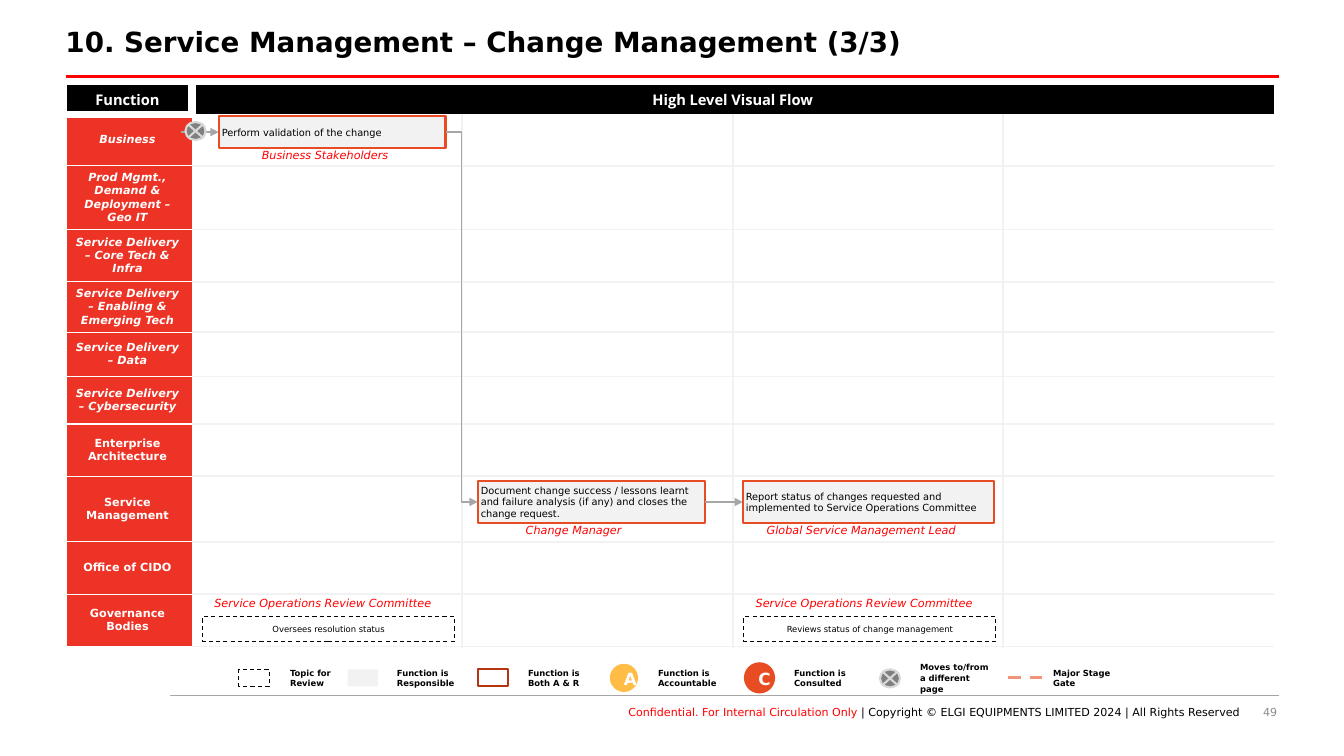
import pptx
import pptx.dml.color
import pptx.enum.dml
import pptx.enum.shapes
import pptx.enum.text
import pptx.oxml.ns
import pptx.util
import lxml.etree

Pt = pptx.util.Pt
SHAPE = pptx.enum.shapes.MSO_SHAPE
CONNECTOR = pptx.enum.shapes.MSO_CONNECTOR
ALIGN = pptx.enum.text.PP_ALIGN
MIDDLE = pptx.enum.text.MSO_ANCHOR.MIDDLE
DASH = pptx.enum.dml.MSO_LINE.DASH
qn = pptx.oxml.ns.qn

COLORS = {
    "black": "000000", "white": "FFFFFF", "red": "FF0000", "lane": "ED3326",
    "grid": "F2F2F2", "orange": "E84C22", "rust": "B53513", "amber": "FFBD47",
    "stage": "F1947A", "gray": "808080", "silver": "D9D9D9", "rule": "A6A6A6",
    "number": "8C8C8C",
}
FONT = "DejaVu Sans"
CAPTION = {"size": Pt(8), "italic": True}
STEP = {"size": Pt(7)}
SMALL = {"size": Pt(6)}
LABEL = {"size": Pt(6), "bold": True}
LETTER = {"size": Pt(12), "bold": True}
FOOTER = {"size": Pt(7.9)}
LANES = [
    ("Business", 36.72), ("Prod Mgmt., Demand & Deployment – Geo IT", 44.64),
    ("Service Delivery – Core Tech & Infra", 37.44),
    ("Service Delivery – Enabling & Emerging Tech", 35.2),
    ("Service Delivery – Data", 31.68), ("Service Delivery – Cybersecurity", 33.84),
    ("Enterprise Architecture", 37.44), ("Service Management", 46.8),
    ("Office of CIDO", 37.44), ("Governance Bodies", 37.44),
]
ITALIC_LANES = 6


def color(name):
    return pptx.dml.color.RGBColor.from_string(COLORS[name])


def apply(target, values):
    for name, value in values.items():
        setattr(target, name, value)


def paint(shape, fill, line, width=1.5, dash=None):
    shape.shadow.inherit = False
    for format_part, name in ((shape.fill, fill), (shape.line.fill, line)):
        if name:
            format_part.solid()
            format_part.fore_color.rgb = color(name)
        else:
            format_part.background()
    if line:
        apply(shape.line, {"width": Pt(width), "dash_style": dash})


def write(frame, paragraphs, font, align=ALIGN.LEFT, spacing=None, margins=(0, 0, 0, 0), anchor=None, wrap=True):
    sides = ("margin_left", "margin_top", "margin_right", "margin_bottom")
    apply(frame, dict(zip(sides, map(Pt, margins))))
    apply(frame, {"word_wrap": wrap, "vertical_anchor": anchor})
    for index, runs in enumerate(paragraphs):
        paragraph = frame.add_paragraph() if index else frame.paragraphs[0]
        apply(paragraph, {"alignment": align, "line_spacing": spacing})
        for text, name in runs:
            run = paragraph.add_run()
            run.text = text
            apply(run.font, {"name": FONT, **font})
            run.font.color.rgb = color(name)


def add_text(shapes, box, paragraphs, font, **layout):
    shape = shapes.add_textbox(*map(Pt, box))
    write(shape.text_frame, paragraphs, font, **layout)
    return shape


def add_line(shapes, points, name, width, arrow=False, kind=CONNECTOR.STRAIGHT, dash=None):
    line = shapes.add_connector(kind, *map(Pt, points))
    line.line.color.rgb = color(name)
    apply(line.line, {"width": Pt(width), "dash_style": dash})
    properties = line._element.spPr
    if arrow:
        lxml.etree.SubElement(properties.find(qn("a:ln")), qn("a:tailEnd"), type="triangle")
    lxml.etree.SubElement(properties, qn("a:effectLst"))
    return line


def join(shapes, source, target, kind=CONNECTOR.STRAIGHT):
    arrow = add_line(shapes, (0, 0, 0, 0), "rule", 1, arrow=True, kind=kind)
    arrow.begin_connect(source, 3)
    arrow.end_connect(target, 1)


def add_junction(shapes, left, middle):
    shape = shapes.add_shape(SHAPE.FLOWCHART_SUMMING_JUNCTION, Pt(left), Pt(middle - 6.48), Pt(14.4), Pt(12.96))
    paint(shape, "gray", "silver")


def add_header(slide, box):
    left, top, width, height = box
    add_text(slide.shapes, (left, top, width, 29.52),
             [[("10. Service Management – Change Management (3/3)", "black")]],
             {"size": Pt(19.8), "bold": True}, spacing=0.9, margins=(0, 3.6, 7.2, 3.6))
    add_line(slide.shapes, (left, top + height, left + width, top + height), "red", 2.25)


def add_footer(slide, box):
    left, top, width, height = box
    right = left + width
    add_line(slide.shapes, (left, top, right, top), "rule", 0.5)
    add_text(slide.shapes, (right - 217.44, top + 7.2, 216, height), [[("49", "number")]], FOOTER, align=ALIGN.RIGHT)
    copyright_runs = [("Conﬁdential. For Internal Circulation Only ", "red"),
                      ("| Copyright © ELGI EQUIPMENTS LIMITED 2024 | All Rights Reserved", "black")]
    add_text(slide.shapes, (left + 55.44, top + 7.2, 708.48, height), [copyright_runs], FOOTER, align=ALIGN.RIGHT)


def format_cell(cell, fill, borders):
    properties = cell._tc.get_or_add_tcPr()
    for side in "LRTB":
        name, width = borders.get(side, (None, 0))
        line = lxml.etree.SubElement(properties, qn("a:ln" + side), w=str(int(Pt(width))))
        if name:
            solid = lxml.etree.SubElement(line, qn("a:solidFill"))
            lxml.etree.SubElement(solid, qn("a:srgbClr"), val=COLORS[name])
        else:
            lxml.etree.SubElement(line, qn("a:noFill"))
    if fill:
        cell.fill.solid()
        cell.fill.fore_color.rgb = color(fill)
    else:
        cell.fill.background()


def label_cell(cell, text, font):
    cell.vertical_anchor = MIDDLE
    write(cell.text_frame, [[(text, "white")]], {"bold": True, **font},
          align=ALIGN.CENTER, margins=(7.2, 3.6, 7.2, 3.6))


def add_lanes(slide, box):
    frame = slide.shapes.add_table(len(LANES) + 1, 5, *map(Pt, box))
    table = frame.table
    for style in frame._element.iter(qn("a:tableStyleId")):
        style.text = "{2D5ABB26-0587-4C30-8999-92F81FD0307C}"
    apply(table, {"first_row": False, "horz_banding": False})
    label_width = 92.16
    for index, column in enumerate(table.columns):
        column.width = Pt((box[2] - label_width) / 4 if index else label_width)
    heavy, thin, grid = ("white", 6), ("white", 1), ("grid", 1.5)
    table.rows[0].height = Pt(21.2)
    table.cell(0, 1).merge(table.cell(0, 4))
    for index, text in enumerate(("Function", "High Level Visual Flow")):
        label_cell(table.cell(0, index), text, {"name": "Open Sans", "size": Pt(10.5)})
    format_cell(table.cell(0, 0), "black", {"L": heavy, "T": thin, "R": heavy, "B": heavy})
    format_cell(table.cell(0, 1), "black", {"L": heavy, "T": thin})
    for row, (text, height) in enumerate(LANES, 1):
        table.rows[row].height = Pt(height)
        label_cell(table.cell(row, 0), text, {"size": Pt(8), "italic": row <= ITALIC_LANES})
        format_cell(table.cell(row, 0), "lane", {"L": heavy, "T": heavy if row == 1 else thin, "B": thin})
        for column in range(1, 5):
            shown = {"L": column > 1, "R": column < 4, "T": row > 1, "B": True}
            format_cell(table.cell(row, column), None, {side: grid for side in shown if shown[side]})


def add_caption(slide, center, top, text):
    add_text(slide.shapes, (center - 95, top, 190, 17.28), [[(text, "red")]], CAPTION,
             align=ALIGN.CENTER, margins=(7.2, 3.6, 7.2, 3.6), wrap=False)


def add_step(slide, box, text, role, role_shift):
    left, top, width, height = box
    shape = slide.shapes.add_shape(SHAPE.RECTANGLE, *map(Pt, box))
    paint(shape, "grid", "orange")
    write(shape.text_frame, [[(text, "black")]], STEP, margins=(2.16, 0, 0, 0), anchor=MIDDLE)
    add_caption(slide, left + width / 2 + role_shift, top + height - 3.6, role)
    return shape


def add_review(slide, box, text):
    left, top, width, height = box
    shape = slide.shapes.add_shape(SHAPE.RECTANGLE, *map(Pt, box))
    paint(shape, "white", "black", 0.75, DASH)
    write(shape.text_frame, [[(text, "black")]], SMALL, align=ALIGN.CENTER, spacing=1.06,
          margins=(3.6, 0, 3.6, 0), anchor=MIDDLE)
    add_caption(slide, left + width / 2 - 4, top - 18, "Service Operations Review Committee")


def add_flow(slide, box):
    left, top, width, height = box
    shapes = slide.shapes
    validate = add_step(slide, (left + 111.6, top + 22.32, 162, 23.04),
                        "Perform validation of the change", "Business Stakeholders", -5)
    middle = top + 33.84
    entry = add_line(shapes, (left + 84.96, middle, left + 111.6, middle), "rule", 1, arrow=True)
    entry.end_connect(validate, 1)
    add_junction(shapes, left + 87.84, middle - 0.72)
    document = add_step(slide, (left + 296.64, top + 282.96, 162, 30.24),
                        "Document change success / lessons learnt and failure analysis (if any) "
                        "and closes the change request.", "Change Manager", -12.5)
    report = add_step(slide, (left + 486, top + 282.96, 179.28, 30.24),
                      "Report status of changes requested and implemented to Service Operations Committee",
                      "Global Service Management Lead", -5)
    join(shapes, validate, document, CONNECTOR.ELBOW)
    join(shapes, document, report)
    for offset, text in ((100.08, "Oversees resolution status"), (486.72, "Reviews status of change management")):
        add_review(slide, (left + offset, top + 380.16, 180, 17.28), text)


def add_legend(slide, box):
    left, top, width, height = box
    middle = top + height / 2
    shapes = slide.shapes.add_group_shape().shapes
    symbols = [
        (SHAPE.RECTANGLE, 0, 21.6, 12.24, (None, "black", 0.75, DASH), ""),
        (SHAPE.RECTANGLE, 77.76, 21.6, 12.24, ("grid", None), ""),
        (SHAPE.RECTANGLE, 170.64, 21.6, 12.24, (None, "rust"), ""),
        (SHAPE.OVAL, 264.96, 20.16, 20.16, ("amber", None), "A"),
        (SHAPE.OVAL, 360.72, 22.32, 22.32, ("orange", None), "C"),
    ]
    for kind, offset, symbol_width, symbol_height, style, letter in symbols:
        shape = shapes.add_shape(kind, Pt(left + offset), Pt(middle - symbol_height / 2),
                                 Pt(symbol_width), Pt(symbol_height))
        paint(shape, *style)
        if letter:
            write(shape.text_frame, [[(letter, "white")]], LETTER, align=ALIGN.CENTER,
                  spacing=1.06, margins=(7.2,) * 4, anchor=MIDDLE)
    add_junction(shapes, left + 457.92, middle + 0.36)
    add_line(shapes, (left + 549.36, middle, left + 574.56, middle), "stage", 2.25, dash=DASH)
    labels = [
        (29.52, ["Topic for", "Review"]), (105.84, ["Function is Responsible"]),
        (199.44, ["Function is Both A & R"]), (292.32, ["Function is Accountable"]),
        (389.52, ["Function is Consulted"]), (479.52, ["Moves to/from a different page"]),
        (574.56, ["Major Stage Gate"]),
    ]
    for offset, lines in labels:
        add_text(shapes, (left + offset, top, 64.8, height), [[(line, "black")] for line in lines], LABEL,
                 spacing=1.06, margins=(7.2,) * 4, anchor=MIDDLE)


def main():
    presentation = pptx.Presentation()
    apply(presentation, {"slide_width": Pt(960), "slide_height": Pt(540)})
    slide = presentation.slides.add_slide(presentation.slide_layouts[6])
    add_header(slide, (46.8, 16.56, 866.88, 38.16))
    add_footer(slide, (121.68, 496.8, 792, 14.4))
    add_lanes(slide, (45, 60.48, 864.72, 401.04))
    add_legend(slide, (170.64, 472.32, 639.36, 23.76))
    add_flow(slide, (44.64, 60.48, 864.72, 401.04))
    presentation.save("out.pptx")


if __name__ == "__main__":
    main()
